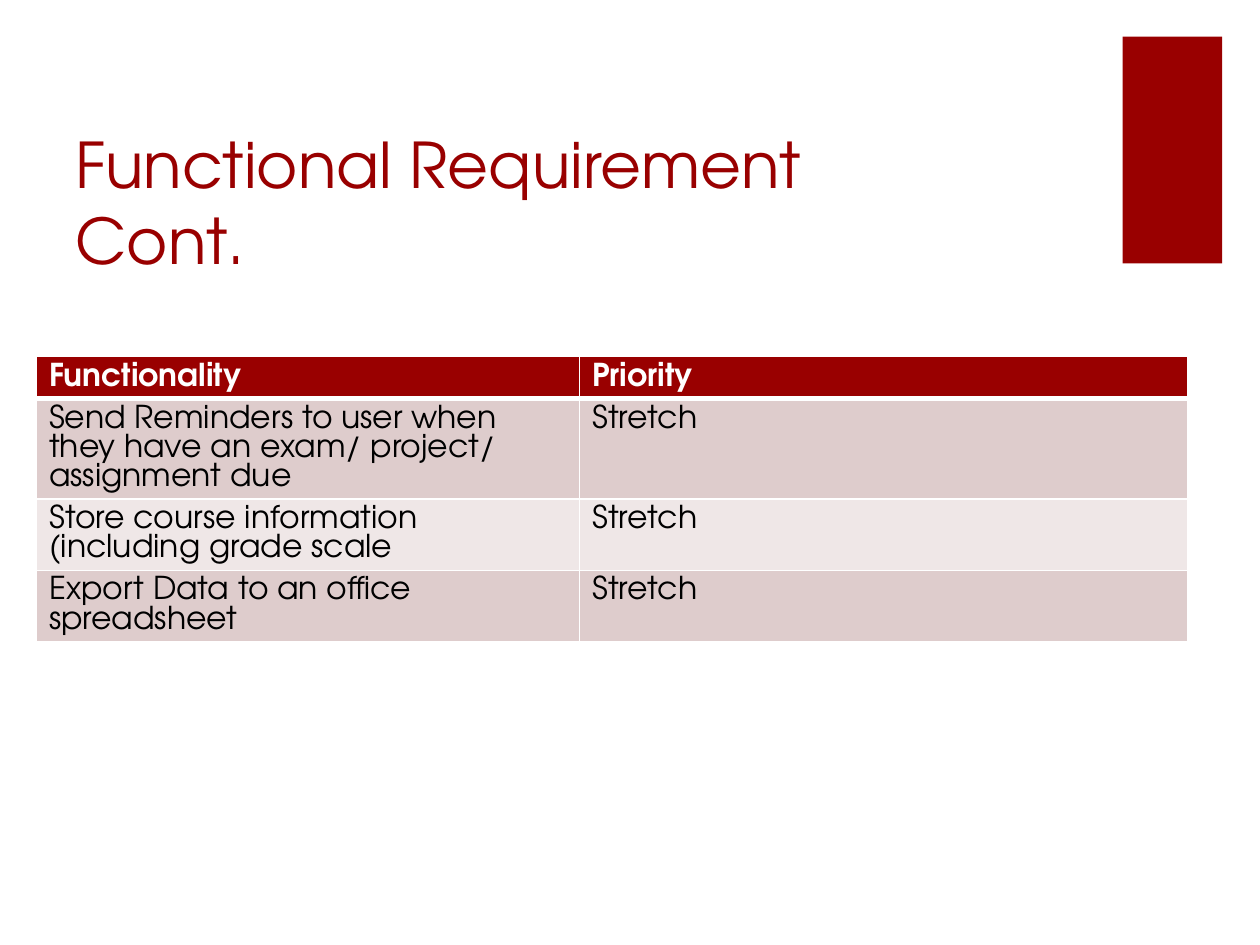
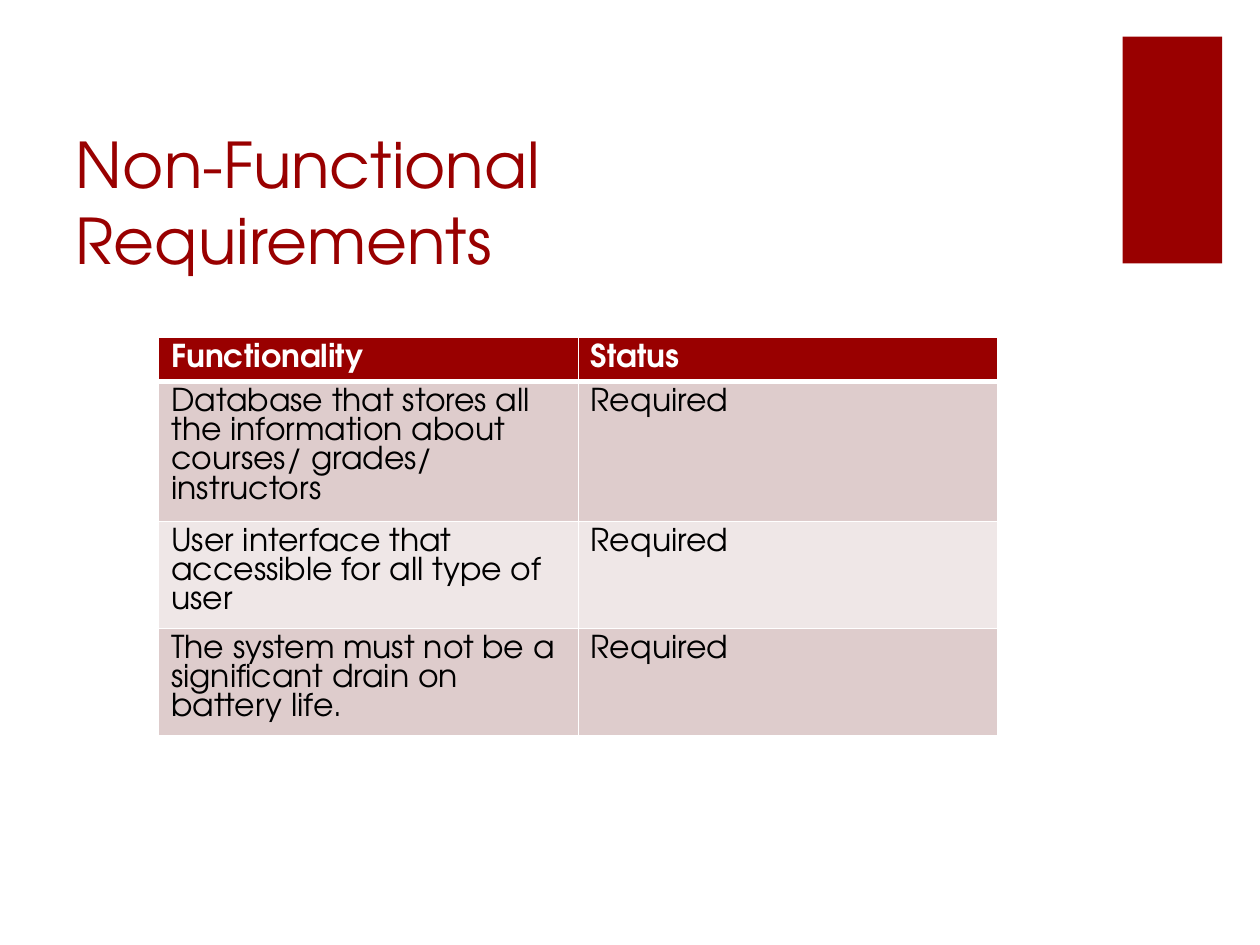
import pptx
import pptx.dml.color
import pptx.enum.shapes
import pptx.enum.text
import pptx.oxml.ns
import pptx.util
from lxml import etree
from pptx.util import Inches

FONT = "TeX Gyre Adventor"
RED = "990000"
WHITE = "FFFFFF"
BLACK = "000000"
BANDS = ["DECCCC", "EFE7E7"]
TITLE_BOX = (0.5, 1, 7.12, 1.25)
BAND_BOX = (8.91, 0.29, 0.79, 1.8)


def rgb(color):
    """Turn a hex string into a colour."""
    return pptx.dml.color.RGBColor.from_string(color)


def paint(target, color):
    """Give a shape or cell a solid fill."""
    target.fill.solid()
    target.fill.fore_color.rgb = rgb(color)


def style_paragraph(paragraph, size, color, leading, bold=False):
    """Set the font and exact line height of a paragraph."""
    font = paragraph.font
    font.name = FONT
    font.size = pptx.util.Pt(size)
    font.bold = bold
    font.color.rgb = rgb(color)
    paragraph.line_spacing = pptx.util.Pt(leading)


def add_title(slide, box, text):
    """Place the slide title at the bottom left of its box."""
    title = slide.shapes.title
    title.left, title.top, title.width, title.height = map(Inches, box)
    frame = title.text_frame
    frame.text = text
    frame.word_wrap = True
    frame.auto_size = pptx.enum.text.MSO_AUTO_SIZE.NONE
    frame.vertical_anchor = pptx.enum.text.MSO_ANCHOR.BOTTOM
    frame.paragraphs[0].alignment = pptx.enum.text.PP_ALIGN.LEFT
    style_paragraph(frame.paragraphs[0], 36, RED, 43.4)


def add_band(slide, box):
    """Draw the red block in the top right corner."""
    band = slide.shapes.add_shape(
        pptx.enum.shapes.MSO_SHAPE.RECTANGLE, *map(Inches, box))
    band.shadow.inherit = False
    paint(band, RED)
    band.line.fill.background()


def add_borders(cell, top, bottom):
    """Rule a cell in white, with top and bottom widths in points."""
    properties = cell._tc.get_or_add_tcPr()
    for side, width in (("L", 1), ("R", 1), ("T", top), ("B", bottom)):
        line = etree.SubElement(properties, pptx.oxml.ns.qn("a:ln" + side),
                                w=str(pptx.util.Pt(width)))
        fill = etree.SubElement(line, pptx.oxml.ns.qn("a:solidFill"))
        etree.SubElement(fill, pptx.oxml.ns.qn("a:srgbClr"), val=WHITE)


def add_requirements(slide, box, widths, heights, rows):
    """Place a banded table whose first row is the header."""
    table = slide.shapes.add_table(
        len(rows), len(widths), *map(Inches, box)).table
    for column, width in zip(table.columns, widths):
        column.width = Inches(width)
    for index, (row, height, texts) in enumerate(zip(table.rows, heights, rows)):
        row.height = Inches(height)
        header = index == 0
        for cell, text in zip(row.cells, texts):
            cell.text = text
            add_borders(cell, 3 if index == 1 else 1, 3 if header else 1)
            paint(cell, RED if header else BANDS[(index - 1) % 2])
            for paragraph in cell.text_frame.paragraphs:
                style_paragraph(paragraph, 18, WHITE if header else BLACK,
                                16.75, header)


def add_requirements_slide(deck, title, box, widths, heights, rows):
    """Add a slide with the band, a title and a requirements table."""
    slide = deck.slides.add_slide(deck.slide_layouts[5])
    add_band(slide, BAND_BOX)
    add_title(slide, TITLE_BOX, title)
    add_requirements(slide, box, widths, heights, rows)


deck = pptx.Presentation()
deck.slide_width, deck.slide_height = Inches(10), Inches(7.5)

add_requirements_slide(
    deck, "Functional Requirement Cont.",
    (0.29, 2.83, 9.14, 2.8), [4.31, 4.83], [0.29] * 4,
    [("Functionality", "Priority"),
     ("Send Reminders to user when they have an exam/ project/ assignment due",
      "Stretch"),
     ("Store course information (including grade scale", "Stretch"),
     ("Export Data to an office spreadsheet", "Stretch")])

add_requirements_slide(
    deck, "Non-Functional Requirements",
    (1.26, 2.68, 6.67, 3.7), [3.33] * 2, [0.35, 1.11, 0.85, 0.85],
    [("Functionality", "Status"),
     ("Database that stores all the information about courses/ grades/ "
      "instructors", "Required"),
     ("User interface that accessible for all type of user", "Required"),
     ("The system must not be a significant drain on\nbattery life.",
      "Required")])

deck.save("out.pptx")
